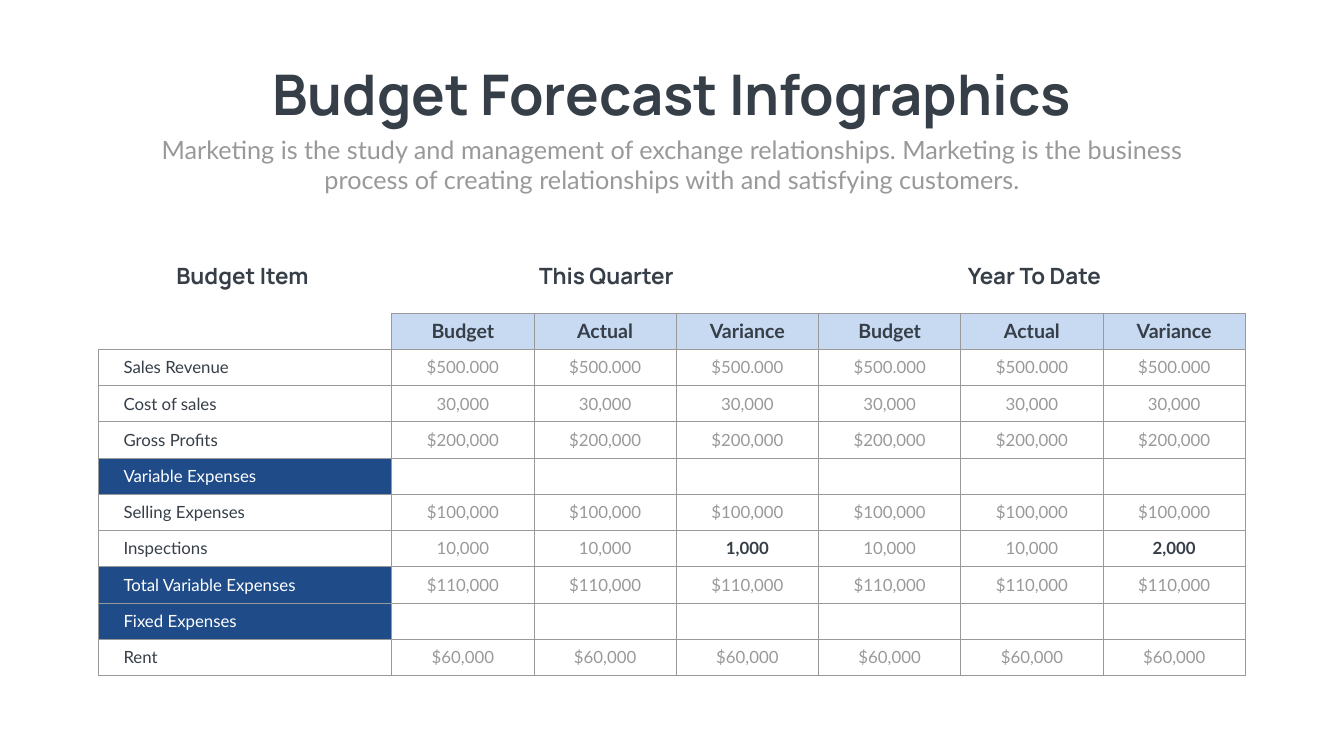
from pptx import Presentation
from pptx.dml.color import RGBColor
from pptx.enum.text import MSO_ANCHOR as Anchor, MSO_AUTO_SIZE as AutoSize, PP_ALIGN as Align
from pptx.oxml.ns import qn
from pptx.util import Pt
from lxml.etree import SubElement

TITLE = "Budget Forecast Infographics"
SUBTITLE = (
    "Marketing is the study and management of exchange relationships. "
    "Marketing is the business process of creating relationships with and satisfying customers."
)
GROUPS = [("Budget Item", 148.32), ("This Quarter", 668.16), ("Year To Date", 1279.44)]
MEASURES = ["Budget", "Actual", "Variance"]
ROWS = [
    ("Sales Revenue", ["$500.000"] * 6),
    ("Cost of sales", ["30,000"] * 6),
    ("Gross Profits", ["$200,000"] * 6),
    ("Variable Expenses", [""] * 6),
    ("Selling Expenses", ["$100,000"] * 6),
    ("Inspections", ["10,000", "10,000", "1,000", "10,000", "10,000", "2,000"]),
    ("Total Variable Expenses", ["$110,000"] * 6),
    ("Fixed Expenses", [""] * 6),
    ("Rent", ["$60,000"] * 6),
]
SECTIONS = {"Variable Expenses", "Total Variable Expenses", "Fixed Expenses"}
HIGHLIGHTS = {"1,000", "2,000"}

DARK, GRAY, WHITE, NAVY, PALE = "363E48", "999999", "FFFFFF", "1F4C89", "C7DAF2"
LABEL_WIDTH, VALUE_WIDTH, ROW_HEIGHT = 419.04, 203.2, 51.77


def color(value):
    return RGBColor.from_string(value)


def write(frame, text, size=24, font="Lato", fill=DARK, bold=False, align=Align.CENTER):
    para = frame.paragraphs[0]
    para.alignment = align
    para.space_before = Pt(0)
    span = para.add_run()
    span.text = text
    span.font.size = Pt(size)
    span.font.name = font
    span.font.bold = bold
    span.font.color.rgb = color(fill)


def place(box, left, top, width, height, margins=(7.2, 3.6), wrap=True):
    box.left, box.top, box.width, box.height = Pt(left), Pt(top), Pt(width), Pt(height)
    frame = box.text_frame
    frame.word_wrap = wrap
    frame.auto_size = AutoSize.SHAPE_TO_FIT_TEXT
    frame.vertical_anchor = Anchor.TOP
    frame.margin_left = frame.margin_right = Pt(margins[0])
    frame.margin_top = frame.margin_bottom = Pt(margins[1])
    return frame


def style_cell(cell, fill, sides="LRTB"):
    properties = cell._tc.get_or_add_tcPr()
    for side in "LRTB":
        line = SubElement(properties, qn(f"a:ln{side}"), w=str(Pt(1)))
        if side in sides:
            SubElement(SubElement(line, qn("a:solidFill")), qn("a:srgbClr"), val=GRAY)
        else:
            SubElement(line, qn("a:noFill"))
    cell.fill.solid()
    cell.fill.fore_color.rgb = color(fill)
    cell.vertical_anchor = Anchor.MIDDLE


def add_budget_table(page):
    headings = MEASURES * 2
    row_count, column_count = len(ROWS) + 1, len(headings) + 1
    table = page.shapes.add_table(
        row_count, column_count, Pt(140.4), Pt(447.12),
        Pt(LABEL_WIDTH + VALUE_WIDTH * len(headings)), Pt(ROW_HEIGHT * row_count),
    ).table
    table.first_row = table.horz_banding = False
    for index, column in enumerate(table.columns):
        column.width = Pt(VALUE_WIDTH if index else LABEL_WIDTH)
    for row in table.rows:
        row.height = Pt(ROW_HEIGHT)

    style_cell(table.cell(0, 0), WHITE, sides="RB")
    for column, heading in enumerate(headings, 1):
        cell = table.cell(0, column)
        style_cell(cell, PALE)
        write(cell.text_frame, heading, size=28, bold=True)

    for row, (label, values) in enumerate(ROWS, 1):
        cell = table.cell(row, 0)
        section = label in SECTIONS
        style_cell(cell, NAVY if section else WHITE)
        cell.margin_left = Pt(36)
        write(cell.text_frame, label, fill=WHITE if section else DARK, align=Align.LEFT)
        for column, value in enumerate(values, 1):
            cell = table.cell(row, column)
            style_cell(cell, WHITE)
            if value:
                strong = value in HIGHLIGHTS
                write(cell.text_frame, value, fill=DARK if strong else GRAY, bold=strong)


def main():
    deck = Presentation()
    deck.slide_width, deck.slide_height = Pt(1919.52), Pt(1080)
    page = deck.slides.add_slide(deck.slide_layouts[0])
    title, subtitle = page.placeholders
    frame = place(title, 339.12, 82.08, 1240.56, 104.4, wrap=False)
    write(frame, TITLE, size=80, font="Manrope", bold=True)
    frame = place(subtitle, 210.24, 187.92, 1499.04, 94.32)
    write(frame, SUBTITLE, size=36, fill=GRAY)
    add_budget_table(page)
    for name, left in GROUPS:
        box = page.shapes.add_textbox(0, 0, 0, 0)
        frame = place(box, left, 370.08, 396, 46.8, margins=(4.32, 4.32))
        write(frame, name, size=32, font="Manrope", bold=True)
    deck.save("out.pptx")


if __name__ == "__main__":
    main()
